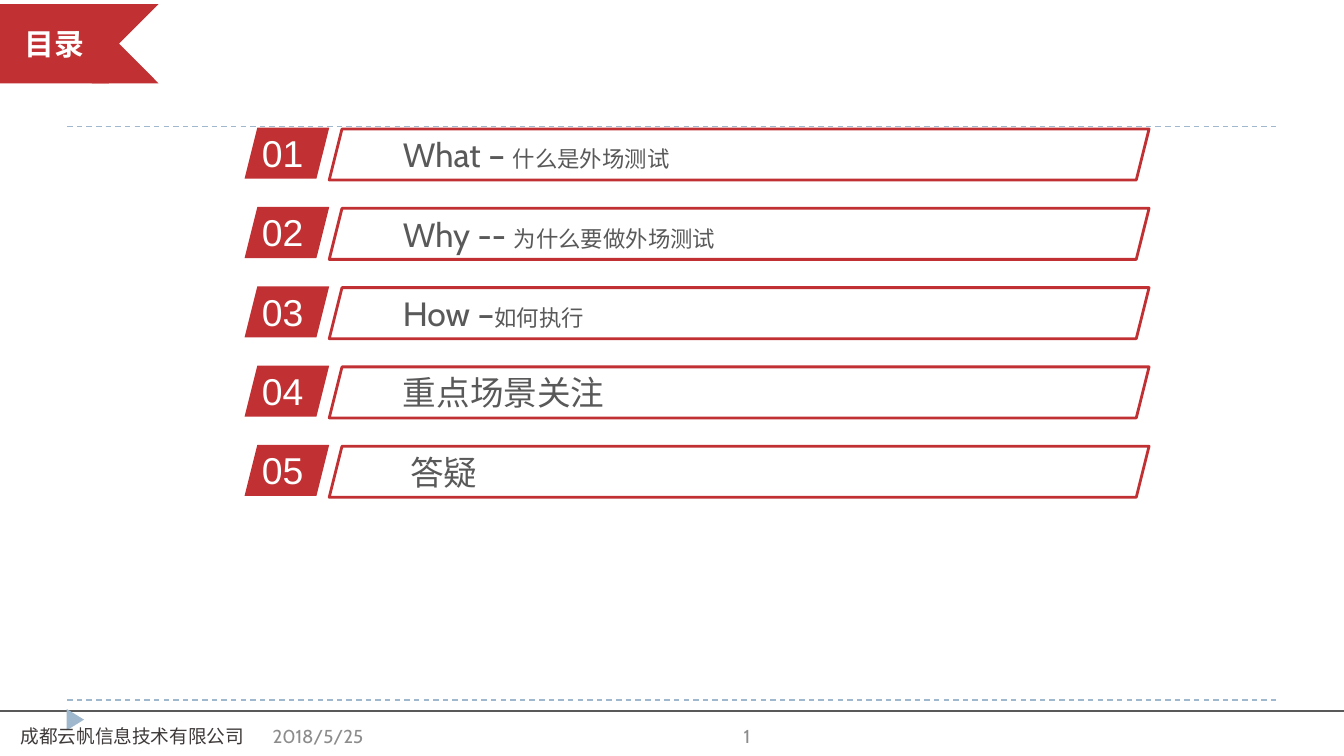
import pptx
import pptx.util
import pptx.dml.color
import pptx.enum.dml
import pptx.enum.shapes
import pptx.enum.text
from dataclasses import dataclass
from typing import Any
from pptx.oxml.xmlchemy import OxmlElement

WIDE = 10
HIGH = WIDE * 9 / 16
TOP, STEP = 0.95, 0.59  # first row and row pitch
HUES = {"red": "C13133", "blue": "9FB8CD", "white": "FFFFFF",
        "text": "595959", "dark": "3E3A39", "grey": "8C8C8C"}
KIND = pptx.enum.shapes.MSO_SHAPE
ALIGN = pptx.enum.text.PP_ALIGN
MID = pptx.enum.text.MSO_ANCHOR.MIDDLE
Box = tuple[float, float, float, float]


@dataclass
class Topic:
    """One agenda row: large lead and small note."""
    lead: str
    note: str = ""


@dataclass
class Rule:
    """A line across the slide."""
    left: float
    y: float
    hue: str
    dash: bool


@dataclass
class Label:
    """A footer text."""
    text: str
    box: Box
    hue: str
    align: Any


TOPICS = [Topic("What – ", "什么是外场测试"), Topic("Why -- ", "为什么要做外场测试"),
          Topic("How –", "如何执行"), Topic("重点场景关注"), Topic(" 答疑")]
RULES = [Rule(0.5, 5.21, "blue", True), Rule(0.5, 0.94, "blue", True),
         Rule(0, 5.29, "text", False)]
LABELS = [Label("成都云帆信息技术有限公司", (-0.83, 5.33, 3.63, 0.3), "dark", ALIGN.CENTER),
          Label("2018/5/25", (1.93, 5.33, 2.33, 0.3), "grey", ALIGN.LEFT),
          Label("1", (3.35, 5.33, 2.33, 0.3), "grey", ALIGN.RIGHT)]

deck = pptx.Presentation()
deck.slide_width = pptx.util.Inches(WIDE)
deck.slide_height = pptx.util.Inches(HIGH)
slide = deck.slides.add_slide(deck.slide_layouts[6])


def shade(name: str) -> pptx.dml.color.RGBColor:
    """Look up a colour."""
    return pptx.dml.color.RGBColor.from_string(HUES[name])


def style(para: Any, face: str, size: float, hue: str) -> None:
    """Set the font of a paragraph."""
    para.font.name = face
    para.font.size = pptx.util.Pt(size)
    para.font.color.rgb = shade(hue)


def block(kind: Any, box: Box, hue: str) -> Any:
    """Draw a filled shape without line or shadow."""
    shape = slide.shapes.add_shape(kind, *map(pptx.util.Inches, box))
    shape.shadow.inherit = False
    shape.fill.solid()
    shape.fill.fore_color.rgb = shade(hue)
    shape.line.fill.background()
    return shape


def write(text: str, box: Box, face: str, size: float, hue: str) -> Any:
    """Add a text box and return its frame."""
    frame = slide.shapes.add_textbox(*map(pptx.util.Inches, box)).text_frame
    frame.word_wrap = True
    frame.text = text
    style(frame.paragraphs[0], face, size, hue)
    return frame


def stroke(rule: Rule) -> None:
    """Draw a thin line, centred on the slide."""
    ends = (rule.left, rule.y, WIDE - rule.left, rule.y)
    line = slide.shapes.add_connector(pptx.enum.shapes.MSO_CONNECTOR.STRAIGHT,
                                      *map(pptx.util.Inches, ends))
    line.line.color.rgb = shade(rule.hue)
    line.line.width = pptx.util.Pt(0.75)
    if rule.dash:
        line.line.dash_style = pptx.enum.dml.MSO_LINE.DASH
    line._element.spPr.append(OxmlElement("a:effectLst"))


def banner(text: str) -> None:
    """Draw the title ribbon."""
    tail = block(KIND.CHEVRON, (0.39, 0.03, 0.79, 0.59), "red")
    tail._element.spPr.xfrm.set("flipH", "1")
    frame = block(KIND.RECTANGLE, (0, 0.03, 0.81, 0.59), "red").text_frame
    frame.margin_top = frame.margin_bottom = pptx.util.Inches(0.16)
    frame.vertical_anchor = MID
    frame.text = text
    para = frame.paragraphs[0]
    para.alignment = ALIGN.CENTER
    style(para, "Arial", 16, "white")
    para.font.bold = True


def entry(row: int, topic: Topic) -> None:
    """Draw one agenda row."""
    y = TOP + row * STEP
    bar = block(KIND.PARALLELOGRAM, (2.45, y + 0.01, 6.1, 0.38), "white")
    alpha = OxmlElement("a:alpha")
    alpha.set("val", "70000")
    bar._element.spPr.find(".//" + pptx.oxml.ns.qn("a:srgbClr")).append(alpha)
    bar.line.color.rgb = shade("red")
    bar.line.width = pptx.util.Pt(1.5)
    frame = bar.text_frame
    frame.margin_left = frame.margin_right = 0
    frame.vertical_anchor = MID
    para = frame.paragraphs[0]
    para.alignment = ALIGN.LEFT
    style(para, "Cabin", 18, "text")
    para.add_run().text = topic.lead
    if topic.note:
        note = para.add_run()
        note.text = topic.note
        note.font.size = pptx.util.Pt(12)
    block(KIND.PARALLELOGRAM, (1.82, y, 0.63, 0.38), "red")
    mark = write(f"{row + 1:02}", (1.85, y - 0.03, 0.87, 0.35), "Arial", 20, "white")
    mark.paragraphs[0].space_before = pptx.util.Pt(2.5)


def footer(label: Label) -> None:
    """Write one footer text."""
    frame = write(label.text, label.box, "Cabin", 10, label.hue)
    frame.vertical_anchor = MID
    frame.paragraphs[0].alignment = label.align


for rule in RULES:
    stroke(rule)
block(KIND.ISOSCELES_TRIANGLE, (0.48, 5.29, 0.16, 0.13), "blue").rotation = 90
banner("目录")
for label in LABELS:
    footer(label)
for row, topic in enumerate(TOPICS):
    entry(row, topic)

deck.save("out.pptx")
